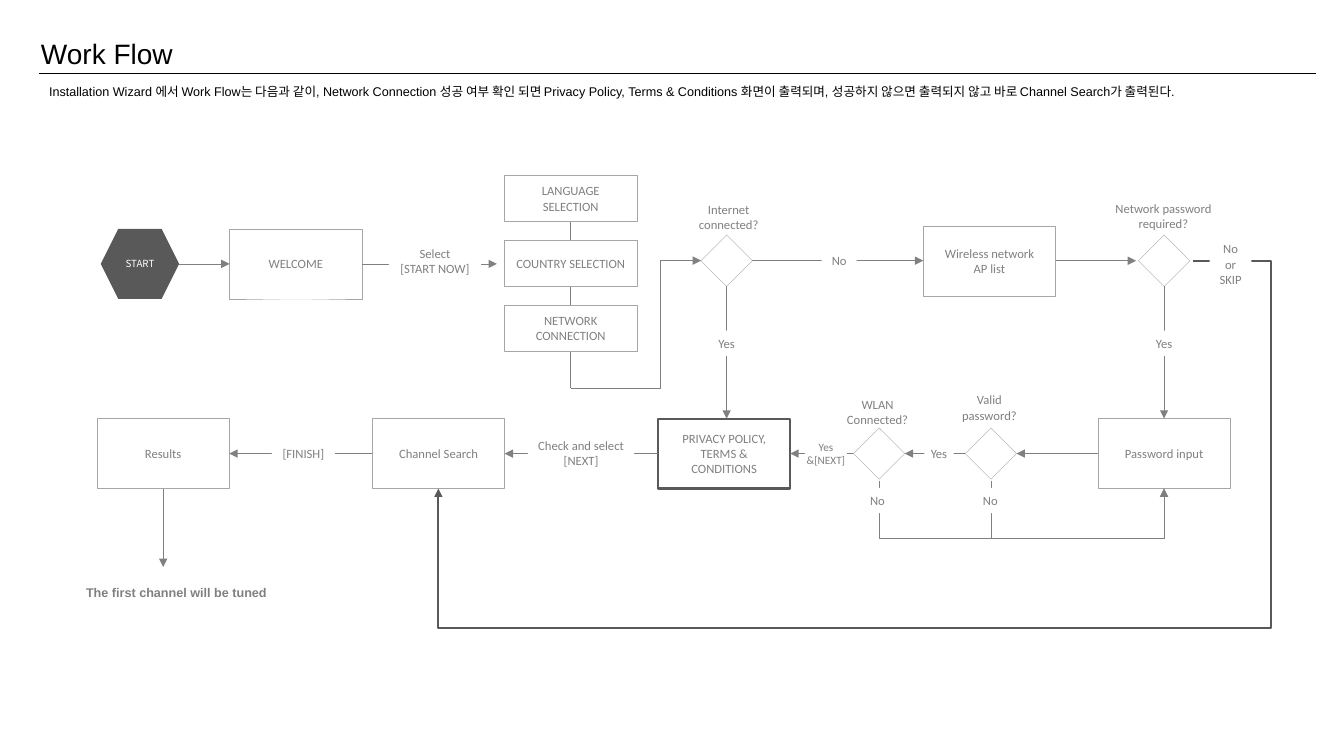
from lxml.etree import SubElement
from pptx import Presentation
from pptx.dml.color import RGBColor
from pptx.enum.shapes import MSO_CONNECTOR, MSO_SHAPE
from pptx.enum.text import MSO_ANCHOR, MSO_AUTO_SIZE, PP_ALIGN
from pptx.oxml.ns import qn
from pptx.util import Pt

BLACK = RGBColor(0, 0, 0)
WHITE = RGBColor(255, 255, 255)
DARK = RGBColor(0x59, 0x59, 0x59)
GRAY = RGBColor(0x80, 0x80, 0x80)
LIGHT = RGBColor(0xA6, 0xA6, 0xA6)
TOP, LEFT, BOTTOM, RIGHT = range(4)

# Content
TITLE = "Work Flow"
NOTE = ("Installation Wizard 에서 Work Flow는 다음과 같이, Network Connection 성공 여부 확인 되면 "
        "Privacy Policy, Terms & Conditions 화면이 출력되며, 성공하지 않으면 출력되지 않고 "
        "바로 Channel Search가 출력된다.")
CLOSING = "The first channel will be tuned"

BOX_W, BOX_H, STEP_H = 94.5, 50, 33
ROW_A, ROW_B = 186.25, 324  # middle heights of the two rows
STEPS = ["LANGUAGE SELECTION", "COUNTRY SELECTION", "NETWORK CONNECTION"]
STEP_X, STEP_Y, STEP_GAP = 360.4, 125.3, 46.3

# name: text, left, middle
BOXES = {
    "welcome": ("WELCOME", 164, 188.5),
    "wireless": ("Wireless network\nAP list", 659.5, ROW_A),
    "results": ("Results", 69.3, ROW_B),
    "channel": ("Channel Search", 266, ROW_B),
    "privacy": ("PRIVACY POLICY, TERMS & CONDITIONS", 470, ROW_B),
    "password": ("Password input", 784.25, ROW_B),
}

# name: centre
GEM = 36.7
GEMS = {
    "online": (519, ROW_A),
    "locked": (831.5, ROW_A),
    "valid": (707.8, ROW_B),
    "wlan": (628, ROW_B),
}

# from, to: a point, or a shape name with its side
ARROWS = [
    ((128.2, 188.5), ("welcome", LEFT)),
    (("welcome", RIGHT), (355, 188.5)),
    (("online", RIGHT), ("wireless", LEFT)),
    (("wireless", RIGHT), (811.5, ROW_A)),
    (("online", BOTTOM), (519, 299)),
    (("locked", BOTTOM), ("password", TOP)),
    (("password", LEFT), ("valid", RIGHT)),
    (("valid", LEFT), ("wlan", RIGHT)),
    (("wlan", LEFT), ("privacy", RIGHT)),
    (("privacy", LEFT), ("channel", RIGHT)),
    (("channel", LEFT), ("results", RIGHT)),
    (("results", BOTTOM), (116.55, 405)),
]

# from, to, x of the upright part, y of the level part, colour, weight
BENDS = [
    ((407.6, 277.4), (500.8, ROW_A), 471.4, None, GRAY, 0.5),
    ((707.8, 343.5), (831.5, 349), 707.8, 384.7, GRAY, 0.5),
    ((628, 343.5), (831.5, 349), 628, 384.7, GRAY, 0.5),
    ((852, ROW_A), (313.2, 349), 908, 448.5, DARK, 1.5),
]

# text, centre x, centre y, width, height, size
ASKS = [
    ("Internet\nconnected?", 520.5, 155, 58, 29, 9),
    ("Network password\nrequired?", 831, 154, 84, 29, 9),
    ("Valid\npassword?", 706.7, 291, 54, 29, 9),
    ("WLAN\nConnected?", 626.8, 294, 58, 29, 9),
]
TAGS = [
    ("Select\n[START NOW]", 310.7, 186.5, 66, 29, 9),
    ("No", 599.4, 186, 25, 18, 9),
    ("Yes", 519, 245.2, 27, 18, 9),
    ("Yes", 831.5, 245.2, 27, 18, 9),
    ("No\nor\nSKIP", 879, 188.6, 30, 40, 9),
    ("Yes\n&[NEXT]", 590, 324, 30, 19, 8),
    ("Yes", 670.7, 323.8, 21, 11, 9),
    ("No", 707.4, 357.5, 25, 18, 9),
    ("No", 626.8, 357.5, 25, 18, 9),
    ("[FINISH]", 216.7, 324, 45, 18, 9),
    ("Check and select [NEXT]", 415, 323.5, 76, 29, 9),
]

deck = Presentation()
deck.slide_width, deck.slide_height = Pt(960), Pt(540)
page = deck.slides.add_slide(deck.slide_layouts[5])
shapes = page.shapes


def write(shape, text, size=9, font="Calibri", color=GRAY, bold=False,
          align=PP_ALIGN.CENTER, anchor=MSO_ANCHOR.MIDDLE, pad=True):
    frame = shape.text_frame
    frame.text = text
    frame.word_wrap = True
    frame.auto_size = MSO_AUTO_SIZE.NONE
    frame.vertical_anchor = anchor
    if not pad:
        frame.margin_left = frame.margin_right = 0
        frame.margin_top = frame.margin_bottom = 0
    for para in frame.paragraphs:
        para.alignment = align
        for run in para.runs:
            run.font.name, run.font.size = font, Pt(size)
            run.font.bold = bold
            run.font.color.rgb = color


def draw(kind, x, y, w, h, fill=WHITE, edge=LIGHT, weight=0.25):
    shape = shapes.add_shape(kind, Pt(x), Pt(y), Pt(w), Pt(h))
    shape.shadow.inherit = False
    shape.fill.solid()
    shape.fill.fore_color.rgb = fill
    if edge is None:
        shape.line.fill.background()
    else:
        shape.line.color.rgb = edge
        shape.line.width = Pt(weight)
    return shape


def link(start, end, kind=MSO_CONNECTOR.STRAIGHT, color=GRAY, weight=0.5, head=True):
    line = shapes.add_connector(kind, *(Pt(v) for v in start + end))
    line.line.color.rgb = color
    line.line.width = Pt(weight)
    if head:
        SubElement(line.line._get_or_add_ln(), qn("a:tailEnd"), type="triangle")
    SubElement(line._element.spPr, qn("a:effectLst"))
    return line


def bend(start, end, x, y, color, weight):
    line = link(start, end, MSO_CONNECTOR.ELBOW, color, weight)
    shares = [(x - start[0]) / (end[0] - start[0])]
    if y is not None:
        shares.append((y - start[1]) / (end[1] - start[1]))
    geom = line._element.spPr.find(qn("a:prstGeom"))
    geom.set("prst", f"bentConnector{len(shares) + 2}")
    guides = geom.find(qn("a:avLst"))
    if guides is None:
        guides = SubElement(geom, qn("a:avLst"))
    for num, share in enumerate(shares, 1):
        SubElement(guides, qn("a:gd"), name=f"adj{num}", fmla=f"val {round(share * 100000)}")


# Title, rule and note
title = shapes.title
title.left, title.top, title.width, title.height = Pt(22), Pt(22.5), Pt(606), Pt(32)
write(title, TITLE, 20, "Arial", BLACK, align=PP_ALIGN.LEFT, anchor=MSO_ANCHOR.TOP)
link((28, 52.5), (940, 52.5), color=BLACK, head=False)
note = shapes.add_textbox(Pt(28), Pt(56.5), Pt(911), Pt(18))
write(note, NOTE, 9, "Arial", BLACK, align=PP_ALIGN.LEFT)

# Start and the stack of selection steps on its spine
start = draw(MSO_SHAPE.HEXAGON, 72, 163.5, 56, BOX_H, DARK, None)
write(start, "START", 7, "Noto Sans CJK KR", WHITE, pad=False)
link((407.6, 131), (407.6, 277.4), head=False)
for num, text in enumerate(STEPS):
    step = draw(MSO_SHAPE.RECTANGLE, STEP_X, STEP_Y + num * STEP_GAP, BOX_W, STEP_H)
    write(step, text)

# Boxes and decisions
nodes = {}
for name, (text, x, mid) in BOXES.items():
    rim = (DARK, 1.5) if name == "privacy" else (LIGHT, 0.25)
    nodes[name] = draw(MSO_SHAPE.RECTANGLE, x, mid - BOX_H / 2, BOX_W, BOX_H, WHITE, *rim)
    write(nodes[name], text)
for name, (x, y) in GEMS.items():
    nodes[name] = draw(MSO_SHAPE.DIAMOND, x - GEM / 2, y - GEM / 2, GEM, GEM)

# Arrows
for tail, tip in ARROWS:
    ends = [(0, 0) if end[0] in nodes else end for end in (tail, tip)]
    line = link(*ends)
    if tail[0] in nodes:
        line.begin_connect(nodes[tail[0]], tail[1])
    if tip[0] in nodes:
        line.end_connect(nodes[tip[0]], tip[1])
for item in BENDS:
    bend(*item)

# Questions, then answers that break the arrows
for text, x, y, w, h, size in ASKS + TAGS:
    place = x - w / 2, y - h / 2, w, h
    if (text, x, y, w, h, size) in ASKS:
        label = shapes.add_textbox(*(Pt(v) for v in place))
    else:
        label = draw(MSO_SHAPE.RECTANGLE, *place, edge=None)
    write(label, text, size, pad=False)

# Closing line
last = shapes.add_textbox(Pt(49.7), Pt(414), Pt(152.6), Pt(18))
write(last, CLOSING, 9, "Arial", bold=True)

deck.save("out.pptx")
